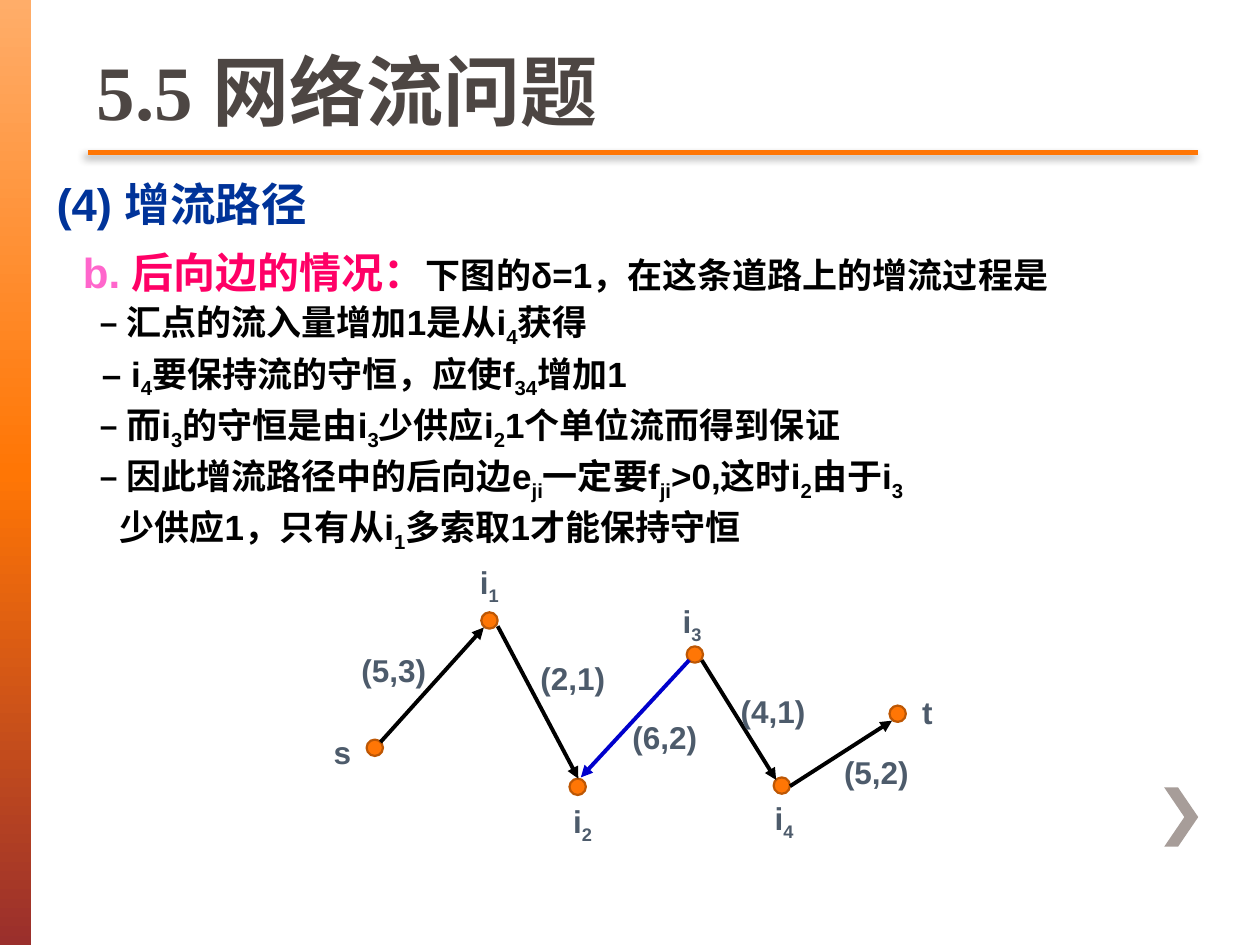
from lxml import etree
from pptx import Presentation
from pptx.dml.color import RGBColor
from pptx.enum.shapes import MSO_CONNECTOR, MSO_SHAPE
from pptx.enum.text import MSO_ANCHOR
from pptx.oxml import parse_xml
from pptx.oxml.ns import nsdecls, qn
from pptx.util import Inches, Pt

ORANGE, BLACK, SLATE = "FF7605", "000000", "4D5B6B"


def color(code):
    return RGBColor.from_string(code)


def style(font, form):
    for key, value in form.items():
        if key == "color":
            font.color.rgb = color(value)
        else:
            setattr(font, key, value)


def form(size, code, name="Arial"):
    return {"size": Pt(size), "name": name, "bold": True, "color": code}


def write(para, text, look):
    """Add runs; parts between ~ marks are subscripts."""
    for num, part in enumerate(text.split("~")):
        if part:
            run = para.add_run()
            run.text = part
            style(run.font, look)
            if num % 2:
                run._r.get_or_add_rPr().set("baseline", "-25000")


def textbox(slide, box, wrap=True):
    frame = slide.shapes.add_textbox(*map(Inches, box)).text_frame
    frame.word_wrap = wrap
    return frame


def indent(para, left, first=0):
    props = para._p.get_or_add_pPr()
    props.set("marL", str(Inches(left)))
    props.set("indent", str(Inches(first)))


def line(slide, start, end, code, width):
    link = slide.shapes.add_connector(
        MSO_CONNECTOR.STRAIGHT, *map(Inches, (*start, *end)))
    link.line.color.rgb = color(code)
    link.line.width = Pt(width)
    effect = etree.SubElement(link._element.spPr, qn("a:effectLst"))
    return link, effect


def sidebar(slide, box):
    bar = slide.shapes.add_shape(MSO_SHAPE.RECTANGLE, *map(Inches, box))
    bar.shadow.inherit = False
    bar.line.fill.background()
    stops = "".join(
        f'<a:gs pos="{pos}000"><a:srgbClr val="{code}"/></a:gs>'
        for pos, code in ((0, "FFAD69"), (50, ORANGE), (100, "9A2F2C")))
    fill = parse_xml(f'<a:gradFill {nsdecls("a")}><a:gsLst>{stops}</a:gsLst>'
                     '<a:lin ang="5400000" scaled="0"/></a:gradFill>')
    bar._element.spPr.find(qn("a:prstGeom")).addnext(fill)


def chevron(slide, box):
    x, y, w, h = box
    edge = 0.11
    points = [(x, y), (x + w - edge, y + h / 2), (x, y + h),
              (x + edge, y + h), (x + w, y + h / 2), (x + edge, y)]
    points = [(Inches(a), Inches(b)) for a, b in points]
    build = slide.shapes.build_freeform(*points[0])
    build.add_line_segments(points[1:], close=True)
    mark = build.convert_to_shape()
    mark.shadow.inherit = False
    mark.fill.solid()
    mark.fill.fore_color.rgb = color("A79D99")
    mark.line.fill.background()


def title(slide, box):
    x, y, w, h = box
    # Rule with a soft shadow
    base = y + h + 0.08
    effect = line(slide, (x + 0.03, base), (x + w + 0.03, base), ORANGE, 2.5)[1]
    effect.append(parse_xml(
        f'<a:outerShdw {nsdecls("a")} blurRad="{Pt(5)}" dist="{Pt(3)}" '
        'dir="8100000" rotWithShape="0"><a:srgbClr val="000000">'
        '<a:alpha val="45000"/></a:srgbClr></a:outerShdw>'))
    frame = textbox(slide, box)
    frame.vertical_anchor = MSO_ANCHOR.BOTTOM
    write(frame.paragraphs[0], "5.5 网络流问题",
          form(44, "4D4643", "Times New Roman"))


def heading(slide, box):
    para = textbox(slide, box).paragraphs[0]
    indent(para, 0.39, -0.29)
    para.line_spacing = 0.9
    write(para, "(4) 增流路径", form(26, "003399"))


def body(slide, box):
    frame = textbox(slide, box)
    # Lead line
    lead = frame.paragraphs[0]
    for text, size, code in (
            ("b. ", 24, "FF66CC"), ("后向边的情况：", 24, "FF0066"),
            ("下图的δ=1，在这条道路上的增流过程是", 20, BLACK)):
        write(lead, text, form(size, code))
    # Steps
    for left, text in (
            (0.13, "– 汇点的流入量增加1是从i~4~获得"),
            (0.15, "– i~4~要保持流的守恒，应使f~34~增加1"),
            (0.13, "– 而i~3~的守恒是由i~3~少供应i~2~1个单位流而得到保证"),
            (0.13, "– 因此增流路径中的后向边e~ji~一定要f~ji~>0,这时i~2~由于i~3~"),
            (0.29, "少供应1，只有从i~1~多索取1才能保持守恒")):
        para = frame.add_paragraph()
        indent(para, left)
        para.space_before = Pt(2)
        write(para, text, form(20, BLACK))


def graph(slide, box):
    x, y = box[:2]
    size = 0.13
    # Nodes, by top left corner
    for dx, dy in ((0.41, 1.47), (1.32, 0.46), (2.02, 1.78),
                   (2.95, 0.73), (3.64, 1.77), (4.56, 1.2)):
        dot = slide.shapes.add_shape(
            MSO_SHAPE.OVAL, *map(Inches, (x + dx, y + dy, size, size)))
        dot.shadow.inherit = False
        dot.fill.solid()
        dot.fill.fore_color.rgb = color(ORANGE)
        dot.line.color.rgb = color("BD5704")
        dot.line.width = Pt(1.25)
    # Edges; the backward one is blue
    for ax, ay, bx, by, code in (
            (0.52, 1.49, 1.34, 0.58, BLACK), (1.45, 0.57, 2.09, 1.78, BLACK),
            (2.97, 0.84, 2.11, 1.77, "0000CC"),
            (3.07, 0.84, 3.66, 1.79, BLACK), (3.77, 1.84, 4.58, 1.32, BLACK)):
        link = line(slide, (x + ax, y + ay), (x + bx, y + by), code, 2.25)[0]
        etree.SubElement(link.line._get_or_add_ln(), qn("a:tailEnd"),
                         type="triangle")
    # Node names, then flows
    for text, dx, dy, width in (
            ("s", 0.05, 1.37, 0.34), ("t", 4.72, 1.05, 0.25),
            ("i~1~", 1.21, 0.02, 0.36), ("i~2~", 1.95, 1.92, 0.36),
            ("i~3~", 2.82, 0.33, 0.36), ("i~4~", 3.55, 1.89, 0.36),
            ("(5,3)", 0.27, 0.72, 0.72), ("(2,1)", 1.69, 0.78, 0.72),
            ("(6,2)", 2.42, 1.25, 0.72), ("(4,1)", 3.28, 1.04, 0.72),
            ("(5,2)", 4.1, 1.53, 0.72)):
        frame = textbox(slide, (x + dx, y + dy, width, 0.4), wrap=False)
        write(frame.paragraphs[0], text, form(18, SLATE))


def main():
    deck = Presentation()
    deck.slide_width, deck.slide_height = Inches(10), Inches(7.5)
    slide = deck.slides.add_slide(deck.slide_layouts[6])
    sidebar(slide, (0, 0, 0.25, 7.5))
    chevron(slide, (9.24, 6.25, 0.27, 0.47))
    title(slide, (0.67, 0, 8.81, 1.13))
    heading(slide, (0.25, 1.4, 5.45, 0.49))
    body(slide, (0.56, 1.91, 8.12, 2.73))
    graph(slide, (2.5, 4.4, 5, 2.4))
    deck.save("out.pptx")


if __name__ == "__main__":
    main()
